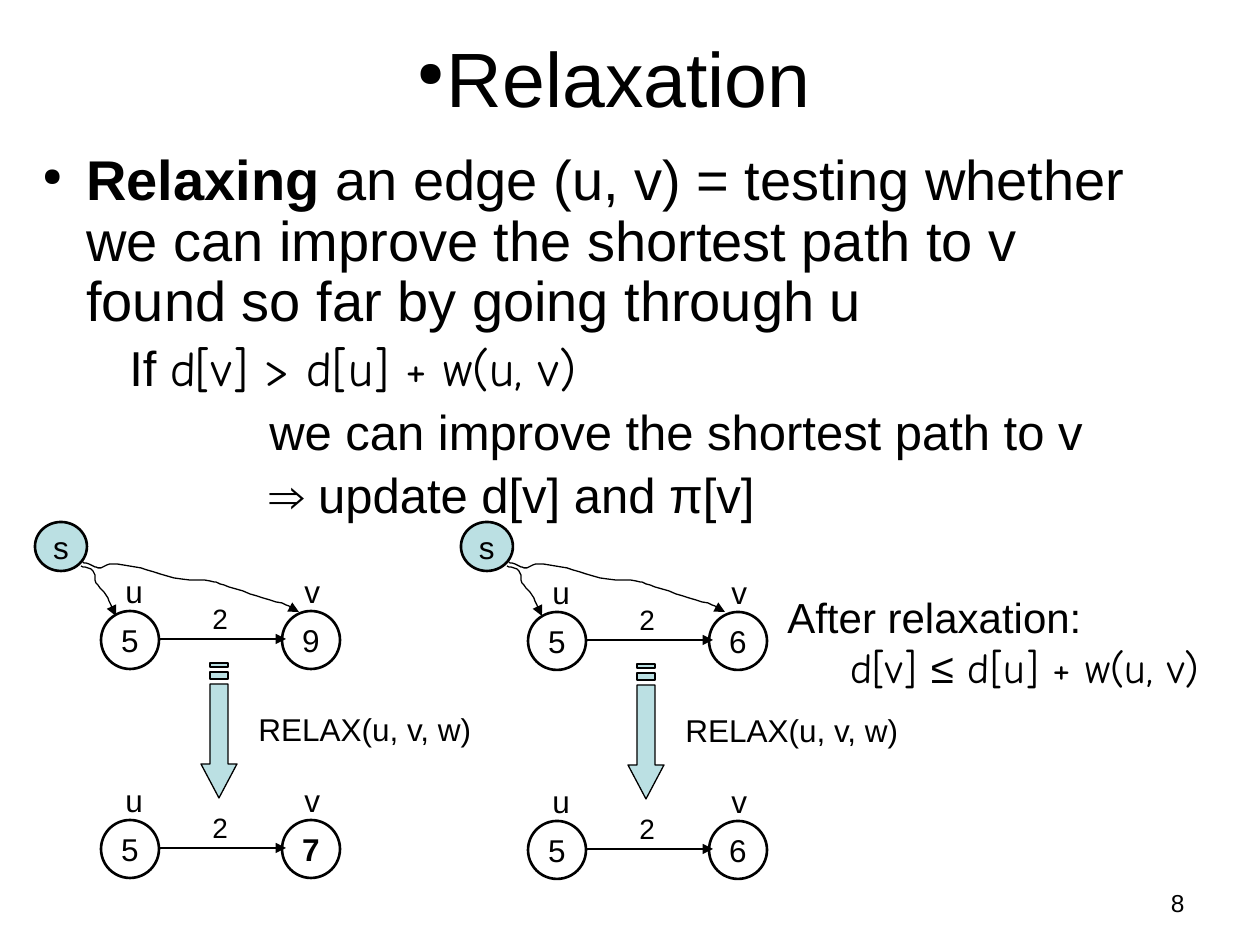
from pptx import Presentation
from pptx.dml.color import RGBColor
from pptx.enum.shapes import MSO_CONNECTOR, MSO_SHAPE
from pptx.enum.text import MSO_ANCHOR, MSO_AUTO_SIZE, PP_ALIGN
from pptx.oxml.ns import qn
from pptx.util import Pt
from lxml import etree

OVAL, STRAIGHT = MSO_SHAPE.OVAL, MSO_CONNECTOR.STRAIGHT
LEFT, CENTER, RIGHT = PP_ALIGN.LEFT, PP_ALIGN.CENTER, PP_ALIGN.RIGHT
TOP, MIDDLE = MSO_ANCHOR.TOP, MSO_ANCHOR.MIDDLE

SCALE = 914400 / 126  # EMU per px
COLORS = {"ink": "000000", "accent": "BBE0E3"}
SANS, HAND = "Arial", "Comic Neue"

# Content: a paragraph is a list of (text, font, bold) spans plus its format
TITLE = "Relaxation"
BODY = [
    {"spans": [("Relaxing ", SANS, True),
               ("an edge (u, v) = testing whether we can improve the shortest "
                "path to v found so far by going through u", SANS, False)],
     "size": 32, "margin": 59, "indent": -44, "before": 7, "bullet": True},
    {"spans": [("If ", SANS, False), ("d[v] > d[u] + w(u, v)", HAND, False)],
     "margin": 102},
    {"spans": [("we can improve the shortest path to v", SANS, False)],
     "margin": 242},
    {"spans": [("⇒ update d[v] and π[v]", SANS, False)], "margin": 242},
]
RESULT = [
    {"spans": [("After relaxation:", SANS, False)]},
    {"spans": [("d[v] ", HAND, False), ("≤", SANS, False),
               (" d[u] + w(u, v)", HAND, False)], "margin": 63},
]
PAGE_NUMBER = "8"
WEIGHT, CALL, SOURCE = "2", "RELAX(u, v, w)", "s"
# Each example: corner of node u, corner of node s, (value of u, value of v) per row
EXAMPLES = [
    {"corner": (101, 611), "source": (35, 522), "rows": [("5", "9"), ("5", "7")]},
    {"corner": (528, 612), "source": (461, 522), "rows": [("5", "6"), ("5", "6")]},
]
BOLD_VALUE = "7"

# Diagram measures in px
NODE, NODE_GAP, ROW_GAP = 58, 181, 209
# Offsets from the corner of node s
PATHS = [
    [(46, 44), (58, 49), (61, 61), (71, 73), (78, 88), (81, 94)],
    [(48, 40), (58, 44), (66, 46), (78, 42), (106, 46), (139, 56), (175, 59),
     (189, 63), (222, 74), (251, 83), (260, 89), (264, 90)],
]
# Offsets from the top middle of the striped arrow
ARROW = [
    [(9, 101), (9, 21), (-9, 21), (-9, 101), (-18, 101), (0, 135), (18, 101)],
    [(9, 9), (-9, 9), (-9, 16), (9, 16)],
    [(9, 0), (-9, 0), (-9, 4), (9, 4)],
]

deck = Presentation()
deck.slide_width, deck.slide_height = round(1260 * SCALE), round(945 * SCALE)
page = deck.slides.add_slide(deck.slide_layouts[5])
shapes = page.shapes


def px(*values):
    return [round(value * SCALE) for value in values]


def color(name):
    return RGBColor.from_string(COLORS[name])


def write(frame, content, size=18, font=SANS, bold=False, align=LEFT,
          anchor=TOP, wrap=True, before=0, leading=1.0):
    """Fill a text frame from a string or a list of paragraph dicts."""
    if isinstance(content, str):
        content = [{"spans": [(content, font, bold)]}]
    frame.auto_size = MSO_AUTO_SIZE.NONE
    frame.word_wrap, frame.vertical_anchor = wrap, anchor
    for index, item in enumerate(content):
        para = frame.add_paragraph() if index else frame.paragraphs[0]
        para.alignment, para.line_spacing = align, leading
        para.space_before = Pt(item.get("before", before))
        properties = para._p.get_or_add_pPr()
        margin, indent = px(item.get("margin", 0), item.get("indent", 0))
        properties.set("marL", str(margin))
        properties.set("indent", str(indent))
        if item.get("bullet"):
            etree.SubElement(properties, qn("a:buSzPct")).set("val", "45000")
            etree.SubElement(properties, qn("a:buChar")).set("char", "●")
        for text, face, heavy in item["spans"]:
            span = para.add_run()
            span.text = text
            span.font.name, span.font.bold = face, heavy
            span.font.size = Pt(item.get("size", size))
            span.font.color.rgb = color("ink")


def add_text(place, content, **style):
    write(shapes.add_textbox(*px(*place)).text_frame, content, **style)


def dress(shape, fill=None, width=0.75):
    shape.shadow.inherit = False
    if fill:
        shape.fill.solid()
        shape.fill.fore_color.rgb = color(fill)
    else:
        shape.fill.background()
    shape.line.color.rgb, shape.line.width = color("ink"), Pt(width)


def add_node(place, text, fill=None):
    node = shapes.add_shape(OVAL, *px(*place))
    dress(node, fill, 1.5)
    write(node.text_frame, text, bold=text == BOLD_VALUE, align=CENTER,
          anchor=MIDDLE, wrap=False)


def add_head(shape):
    etree.SubElement(shape.line._get_or_add_ln(), qn("a:tailEnd")).set("type", "triangle")


def add_outline(origin, contours, fill=None, closed=True):
    moved = [[(origin[0] + x, origin[1] + y) for x, y in contour] for contour in contours]
    builder = shapes.build_freeform(*moved[0][0], scale=SCALE)
    for index, contour in enumerate(moved):
        if index:
            builder.move_to(*contour[0])
        builder.add_line_segments(contour[1:], close=closed)
    outline = builder.convert_to_shape()
    dress(outline, fill)
    return outline


def smooth(points, steps=5):
    """Points of a Catmull-Rom curve through the given points."""
    padded = [points[0], *points, points[-1]]
    curve = [points[0]]
    for a, b, c, d in zip(padded, padded[1:], padded[2:], padded[3:]):
        for step in range(1, steps + 1):
            t = step / steps
            curve.append(tuple(
                (2 * q + (r - p) * t + (2 * p - 5 * q + 4 * r - s) * t ** 2
                 + (3 * q - p - 3 * r + s) * t ** 3) / 2
                for p, q, r, s in zip(a, b, c, d)))
    return curve


def add_edge_pair(x, y, values):
    for column, value in enumerate(values):
        add_node((x + column * NODE_GAP, y, NODE, NODE), value)
    edge = shapes.add_connector(STRAIGHT, *px(x + NODE, y + 28, x + 185, y + 28))
    edge.line.color.rgb, edge.line.width = color("ink"), Pt(1.5)
    add_head(edge)
    etree.SubElement(edge._element.spPr, qn("a:effectLst"))
    add_text((x + 99, y - 16, 40, 47), WEIGHT, size=16, wrap=False)
    add_text((x + 12, y - 45, 43, 50), "u", wrap=False)
    add_text((x + 191, y - 45, 40, 50), "v", wrap=False)


# Title, body and page number
title = shapes.title
title.left, title.top, title.width, title.height = px(47, 14, 1134, 125)
write(title.text_frame, [{"spans": [(TITLE, SANS, False)], "margin": 30,
                          "indent": -30, "bullet": True}],
      size=44, align=CENTER, anchor=MIDDLE)
add_text((15, 146, 1134, 402), BODY, size=28, before=6, leading=0.9)
add_text((903, 882, 294, 44), PAGE_NUMBER, size=14, align=RIGHT)

# Two examples, before and after relaxing
for example in EXAMPLES:
    x, y = example["corner"]
    for row, values in enumerate(example["rows"]):
        add_edge_pair(x, y + row * ROW_GAP, values)
    add_outline((x + 118, y + 52), ARROW, fill="accent")
    add_text((x + 145, y + 93, 238, 50), CALL)
    add_node((*example["source"], 52, 49), SOURCE, fill="accent")
    for points in PATHS:
        add_head(add_outline(example["source"], [smooth(points)], closed=False))

# Result
add_text((775, 585, 467, 113), RESULT, size=24)

deck.save("out.pptx")
